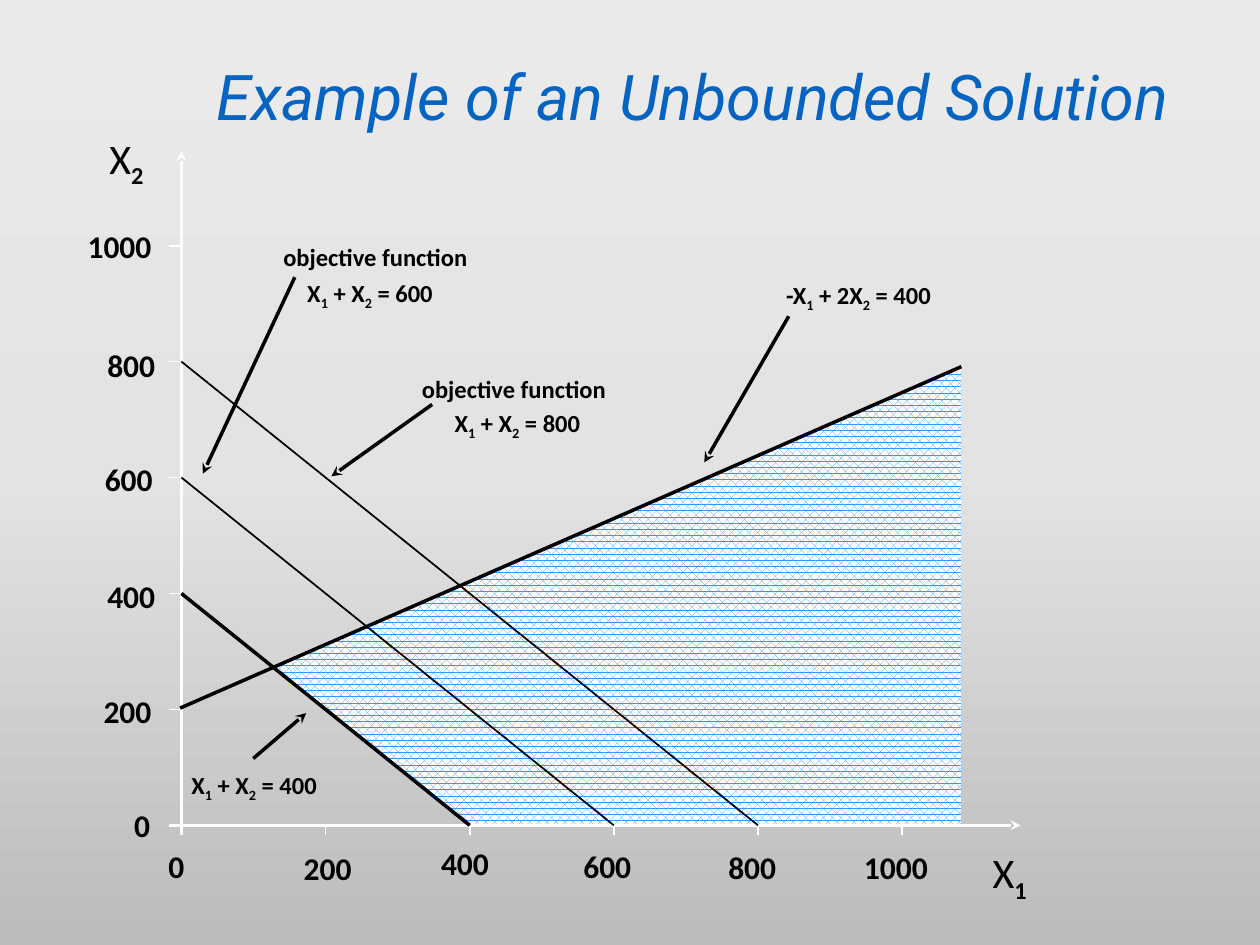
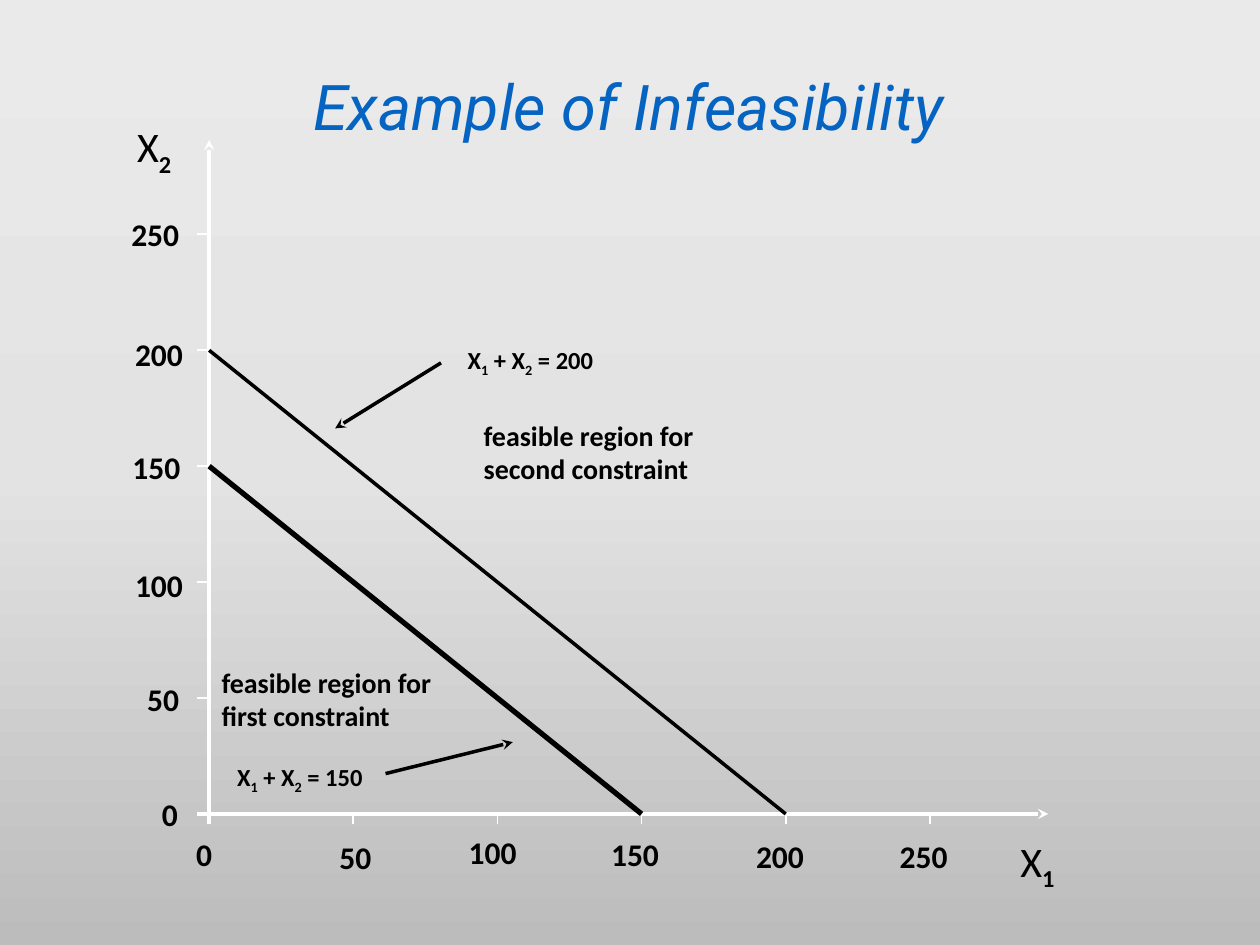
from copy import deepcopy

from lxml import etree
from pptx import Presentation
from pptx.dml.color import RGBColor
from pptx.enum.dml import MSO_PATTERN
from pptx.enum.shapes import MSO_CONNECTOR
from pptx.enum.text import MSO_ANCHOR, PP_ALIGN
from pptx.oxml.ns import qn
from pptx.util import Inches, Pt

LEFT, CENTER, RIGHT = PP_ALIGN.LEFT, PP_ALIGN.CENTER, PP_ALIGN.RIGHT
TOP, MIDDLE = MSO_ANCHOR.TOP, MSO_ANCHOR.MIDDLE
STRAIGHT = MSO_CONNECTOR.STRAIGHT
DOTS = MSO_PATTERN.PERCENT_70
BLACK, WHITE, BLUE, SKY = "000000", "FFFFFF", "0563C1", "3399FF"
BODY, HEAD = "Calibri", "Roboto"
STEP_X, STEP_Y = 5.72 / 5, 0.92
SHADES = [(0, "EBEAEA"), (0.5, "E4E3E3"), (1, "BDBCBC")]

color = RGBColor.from_string


def write(slide, text, left, top, width, height, size, bold=True, align=LEFT):
    box = slide.shapes.add_textbox(
        Inches(left), Inches(top), Inches(width), Inches(height))
    frame = box.text_frame
    frame.word_wrap = True
    frame.vertical_anchor = TOP
    para = frame.paragraphs[0]
    para.alignment = align
    para.font.size = Pt(size)
    para.font.name = BODY
    para.font.bold = bold
    para.font.color.rgb = color(BLACK)
    first, *rest = text.split("_")
    para.add_run().text = first
    for part in rest:
        low = para.add_run()
        low.text = part[0]
        low.font.bold = True
        low.font._element.set("baseline", "-25000")
        if part[1:]:
            para.add_run().text = part[1:]
    return frame


def draw(slide, x1, y1, x2, y2, tint=BLACK, width=2, arrow=False):
    line = slide.shapes.add_connector(
        STRAIGHT, Inches(x1), Inches(y1), Inches(x2), Inches(y2))
    line.line.color.rgb = color(tint)
    line.line.width = Pt(width)
    if arrow:
        etree.SubElement(line.line._get_or_add_ln(), qn("a:tailEnd"), type="stealth")
    etree.SubElement(line._element.spPr, qn("a:effectLst"))


X_MARKS = [(-0.04, 0.12), (1.16, 0.14), (2.25, 0.1),
           (3.38, 0.12), (4.53, 0.13), (5.67, 0.13)]
Y_MARKS = [(-0.25, -0.2), (-0.24, -1.11), (-0.21, -2.02),
           (-0.23, -2.95), (-0.21, -3.85), (-0.24, -4.8)]

GRAPHS = [
    {
        "title": ("Example of an Unbounded Solution", 1.5, 0.42, 8, 1),
        "origin": (1.44, 6.55),
        "unit": 200,
        "region": [(3.72, 6.55), (2.17, 5.29), (7.63, 2.92), (7.63, 6.55)],
        "bounds": [(2, 2), (3, 1), (4, 1)],
        "lines": [(1.43, 5.62, 7.63, 2.91)],
        "arrows": [(2.01, 6.02, 2.43, 5.66), (2.34, 2.2, 1.61, 3.76),
                   (3.43, 3.21, 2.63, 3.78), (6.26, 2.51, 5.59, 3.67)],
        "notes": [
            ("X_1 + X_2 = 400", 1.42, 6.06, 1.94, 0.33, 14),
            ("X_1 + X_2 = 600", 2.34, 2.16, 1.94, 0.33, 14),
            ("objective function", 2.15, 1.87, 1.94, 0.33, 14),
            ("X_1 + X_2 = 800", 3.51, 3.19, 1.94, 0.33, 14),
            ("objective function", 3.25, 2.92, 1.94, 0.33, 14),
            ("-X_1 + 2X_2 = 400", 6.14, 2.17, 1.94, 0.33, 14),
        ],
    },
    {
        "title": ("Example of Infeasibility", 1.23, 0.56, 7.52, 0.8),
        "origin": (1.66, 6.46),
        "unit": 50,
        "region": [],
        "bounds": [(3, 3), (4, 2)],
        "lines": [],
        "arrows": [(3.5, 2.88, 2.66, 3.4), (3.06, 6.14, 4.07, 5.89)],
        "notes": [
            ("X_1 + X_2 = 200", 3.26, 2.69, 1.9, 0.33, 14, True, CENTER),
            ("X_1 + X_2 = 150", 1.43, 6, 1.9, 0.33, 14, True, CENTER),
            ("feasible region for second constraint", 3.74, 3.27, 2.38, 0.64, 16),
            ("feasible region for first constraint", 1.66, 5.23, 2.12, 0.9, 16),
        ],
    },
]

prs = Presentation()
prs.slide_width = Inches(10)
prs.slide_height = Inches(7.5)

back = prs.slide_master.background.fill
back.gradient()
back.gradient_angle = 270
start = back.gradient_stops[0]._gs
start.addnext(deepcopy(start))
for stop, (place, shade) in zip(back.gradient_stops, SHADES):
    stop.position = place
    stop.color.rgb = color(shade)

for graph in GRAPHS:
    slide = prs.slides.add_slide(prs.slide_layouts[6])
    left, base = graph["origin"]

    text, x, y, width, space = graph["title"]
    title = write(slide, text, x, y, width, 0.67, 36, False, CENTER)
    title.vertical_anchor = MIDDLE
    para = title.paragraphs[0]
    para.line_spacing = space
    para.font.name = HEAD
    para.font.italic = True
    para.font.color.rgb = color(BLUE)

    if graph["region"]:
        first, *rest = [(Inches(x), Inches(y)) for x, y in graph["region"]]
        path = slide.shapes.build_freeform(*first)
        path.add_line_segments(rest, close=True)
        area = path.convert_to_shape()
        area.shadow.inherit = False
        area.line.fill.background()
        area.fill.patterned()
        area.fill.pattern = DOTS
        area.fill.fore_color.rgb = color(SKY)
        area.fill.back_color.rgb = color(WHITE)

    draw(slide, left - 0.1, base, left + 6.66, base, WHITE, 2, True)
    draw(slide, left, base + 0.08, left, base - 5.35, WHITE, 2, True)
    for i in range(1, 6):
        x, y = left + i * STEP_X, base - i * STEP_Y
        draw(slide, x, base, x, base + 0.08, WHITE, 1)
        draw(slide, left, y, left - 0.1, y, WHITE, 1)

    write(slide, "X_2", left - 0.67, base - 5.55, 1.08, 0.5, 24, False)
    write(slide, "X_1", left + 6.34, base + 0.12, 1.08, 0.5, 24, False)
    for i, ((mid, drop), (edge, rise)) in enumerate(zip(X_MARKS, Y_MARKS)):
        mark = str(i * graph["unit"])
        write(slide, mark, left + edge - 0.68, base + rise, 0.78, 0.4, 18, True, RIGHT)
        write(slide, mark, left + mid - 0.39, base + drop, 0.78, 0.4, 18, True, CENTER)

    for n, width in graph["bounds"]:
        draw(slide, left, base - n * STEP_Y, left + n * STEP_X, base, BLACK, width)
    for ends in graph["lines"]:
        draw(slide, *ends)
    for ends in graph["arrows"]:
        draw(slide, *ends, arrow=True)
    for note in graph["notes"]:
        write(slide, *note)

prs.save("out.pptx")
